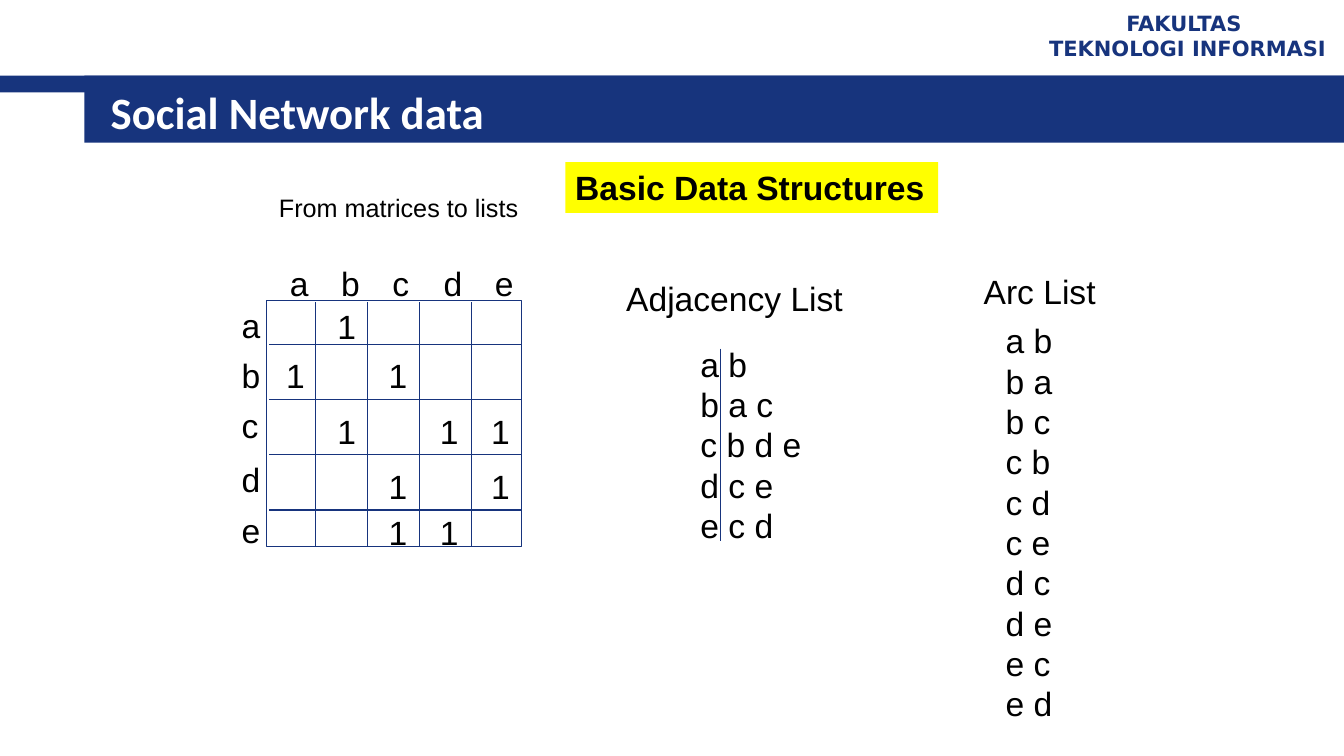
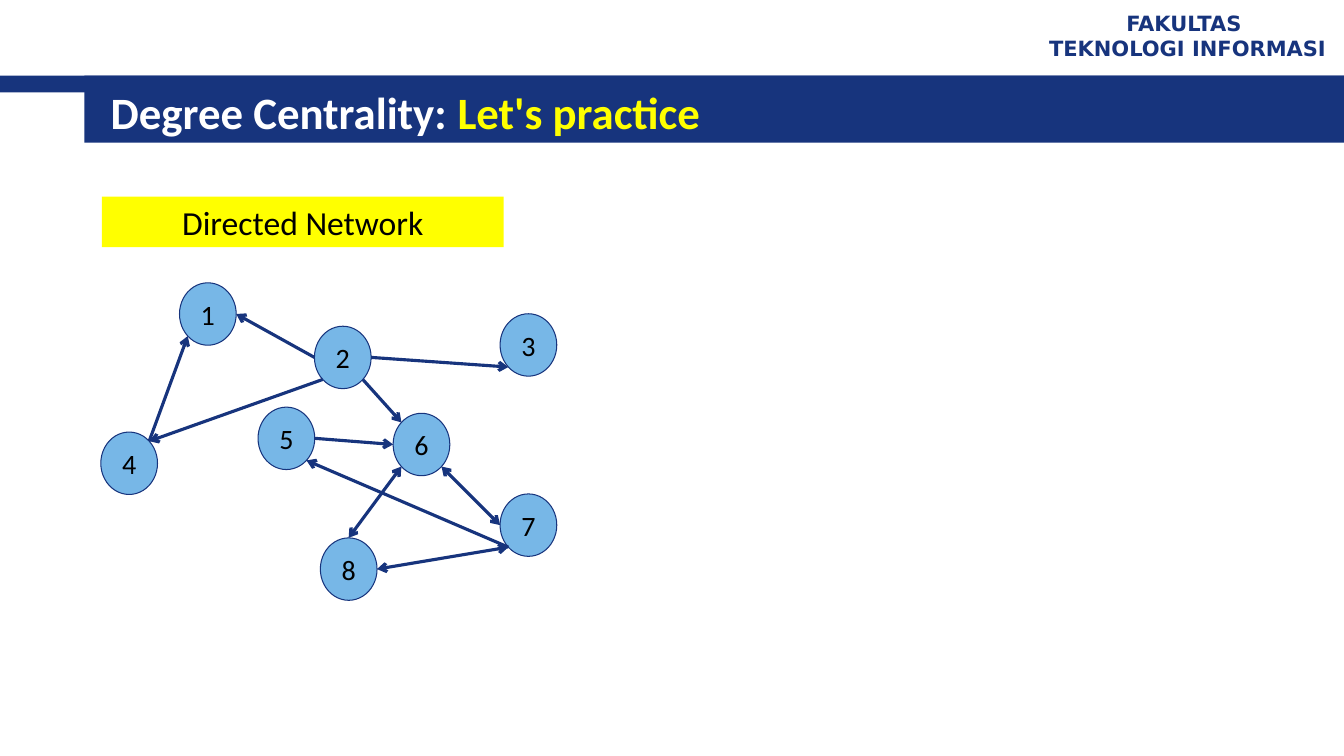
"""Build two slides on social network data: basic data structures and degree centrality."""
from dataclasses import dataclass
from enum import Enum
from math import cos, radians, sin
from typing import Any, NamedTuple

from lxml.etree import SubElement
from pptx import Presentation
from pptx.dml.color import RGBColor
from pptx.enum.shapes import MSO_CONNECTOR, MSO_SHAPE
from pptx.enum.text import MSO_ANCHOR, PP_ALIGN
from pptx.oxml.ns import qn
from pptx.util import Pt

NAVY, SKY, YELLOW, WHITE, BLACK = "17347D", "77B7E7", "FFFF00", "FFFFFF", "000000"
THIN, THICK = 0.75, 2.25

SMALL = {"name": "Arial", "size": Pt(18), "bold": False}
BODY = {**SMALL, "size": Pt(24)}
HEADING = {**BODY, "bold": True}
TITLE = {"name": "Calibri", "size": Pt(32), "bold": True}
CAPTION = {"name": "Calibri", "size": Pt(24), "bold": False}
NODE = {**CAPTION, "size": Pt(20)}
FACULTY = {"name": "DejaVu Sans", "size": Pt(15), "bold": True}

UNWRAPPED = {"vertical_anchor": MSO_ANCHOR.TOP, "word_wrap": False}
UNWRAPPED_MIDDLE = {"vertical_anchor": MSO_ANCHOR.MIDDLE, "word_wrap": False}
WRAPPED_MIDDLE = {"vertical_anchor": MSO_ANCHOR.MIDDLE, "word_wrap": True}
CENTER = PP_ALIGN.CENTER

NEIGHBOURS = {"a": "b", "b": "ac", "c": "bde", "d": "ce", "e": "cd"}
NODE_WIDTH, NODE_HEIGHT = 40.5, 44.6


class Box(NamedTuple):
    """Left, top, width and height in points."""
    left: float
    top: float
    width: float
    height: float

    def lengths(self) -> list[int]:
        """Return the four lengths for python-pptx."""
        return [Pt(value) for value in self]


class Point(NamedTuple):
    """A place on the slide in points."""
    x: float
    y: float


class Run(NamedTuple):
    """A stretch of text in one colour."""
    text: str
    color: str = BLACK


class MatrixRow(NamedTuple):
    """Tops of the label and of the marks in a matrix row."""
    label_top: float
    mark_top: float


class Side(Enum):
    """Angle in degrees, clockwise from the right, of a point on a node."""
    E = 0
    SE = 45
    SW = 135
    W = 180
    NW = 225
    N = 270
    NE = 315


@dataclass(frozen=True)
class Node:
    """A numbered node placed by its left top corner."""
    left: float
    top: float

    def point(self, side: Side) -> Point:
        """Return the point of the outline on the given side."""
        angle = radians(side.value)
        return Point(self.left + NODE_WIDTH / 2 * (1 + cos(angle)),
                     self.top + NODE_HEIGHT / 2 * (1 + sin(angle)))


@dataclass(frozen=True)
class Edge:
    """An arrow from one node to another, or both ways."""
    source: int
    source_side: Side
    target: int
    target_side: Side
    mutual: bool = False


MATRIX_ROWS = (
    MatrixRow(214.5, 215),
    MatrixRow(250, 250),
    MatrixRow(286, 290),
    MatrixRow(324.5, 329.5),
    MatrixRow(360.5, 361.8),
)
NODES = {
    1: Node(128.2, 202), 2: Node(224.6, 233), 3: Node(357.2, 224.1), 4: Node(72, 308.6),
    5: Node(184.3, 290.8), 6: Node(280.8, 295.2), 7: Node(357.2, 352.8), 8: Node(228.8, 384.2),
}
EDGES = (
    Edge(2, Side.SW, 4, Side.NE),
    Edge(2, Side.W, 1, Side.E),
    Edge(5, Side.E, 6, Side.W),
    Edge(2, Side.E, 3, Side.SW),
    Edge(6, Side.SE, 7, Side.W, mutual=True),
    Edge(6, Side.SW, 8, Side.N, mutual=True),
    Edge(2, Side.SE, 6, Side.NW),
    Edge(7, Side.SW, 8, Side.E, mutual=True),
    Edge(4, Side.NE, 1, Side.SW),
    Edge(7, Side.SW, 5, Side.SE),
)


def rgb(color: str) -> RGBColor:
    """Turn a hex string into a colour."""
    return RGBColor.from_string(color)


def apply(target: Any, values: dict[str, Any]) -> None:
    """Set every named attribute on the target."""
    for name, value in values.items():
        setattr(target, name, value)


def write(frame: Any, lines: list[list[Run]], font: dict[str, Any],
          layout: dict[str, Any], align: PP_ALIGN = PP_ALIGN.LEFT) -> None:
    """Lay out a text frame and fill it with one paragraph a line."""
    apply(frame, layout)
    for index, line in enumerate(lines):
        paragraph = frame.add_paragraph() if index else frame.paragraphs[0]
        paragraph.alignment = align
        for text, color in line:
            run = paragraph.add_run()
            run.text = text
            apply(run.font, font)
            run.font.color.rgb = rgb(color)


def add_text(slide: Any, box: Box, lines: list[list[Run]], font: dict[str, Any],
             layout: dict[str, Any] = UNWRAPPED, align: PP_ALIGN = PP_ALIGN.LEFT) -> None:
    """Add a text box."""
    write(slide.shapes.add_textbox(*box.lengths()).text_frame, lines, font, layout, align)


def add_shape(slide: Any, kind: MSO_SHAPE, box: Box, fill: str | None,
              line: str | None = None) -> Any:
    """Add a shape with the colours given and return its text frame."""
    shape = slide.shapes.add_shape(kind, *box.lengths())
    shape.shadow.inherit = False
    for paint, color in ((shape.fill, fill), (shape.line.fill, line)):
        if color:
            paint.solid()
            paint.fore_color.rgb = rgb(color)
        else:
            paint.background()
    if line:
        shape.line.width = Pt(THIN)
    return shape.text_frame


def add_line(slide: Any, start: Point, end: Point, width: float = THIN,
             arrows: tuple[str, ...] = ()) -> None:
    """Add a straight line with the given arrowhead elements."""
    lengths = [Pt(value) for value in (*start, *end)]
    connector = slide.shapes.add_connector(MSO_CONNECTOR.STRAIGHT, *lengths)
    connector.line.color.rgb = rgb(NAVY)
    connector.line.width = Pt(width)
    properties = connector.element.spPr
    for arrow in arrows:
        SubElement(properties.find(qn("a:ln")), qn(arrow), type="arrow")
    SubElement(properties, qn("a:effectLst"))


def add_base_slide(presentation: Any, title: list[Run]) -> Any:
    """Add a blank slide with the bands, faculty name and title."""
    slide = presentation.slides.add_slide(presentation.slide_layouts[6])
    for band in (Box(0, 54, 960, 12), Box(60.2, 54, 899.8, 48)):
        add_shape(slide, MSO_SHAPE.RECTANGLE, band, NAVY)
    faculty = [[Run("FAKULTAS ", NAVY)], [Run("TEKNOLOGI INFORMASI", NAVY)]]
    add_text(slide, Box(736.5, 3.5, 223.5, 44.5), faculty, FACULTY, WRAPPED_MIDDLE, CENTER)
    add_text(slide, Box(72, 57.5, 856, 44.5), [title], TITLE, WRAPPED_MIDDLE)
    return slide


def add_matrix(slide: Any) -> None:
    """Draw the adjacency matrix with its grid, labels and marks."""
    add_shape(slide, MSO_SHAPE.RECTANGLE, Box(190.2, 214.5, 182, 175.8), None, NAVY)
    for index in range(len(NEIGHBOURS) - 1):
        x, y = 225.2 + 37.2 * index, 246.1 + 39.4 * index
        add_line(slide, Point(x, 216), Point(x, 391))
        add_line(slide, Point(372, y), Point(192, y))

    def add_letter(text: str, left: float, top: float) -> None:
        """Add one label or mark."""
        add_text(slide, Box(left, top, 28, 36), [[Run(text)]], BODY)

    lefts = {name: 200 + 36.6 * index for index, name in enumerate(NEIGHBOURS)}
    for name, left in lefts.items():
        add_letter(name, left, 184.3)
    for row, (name, others) in zip(MATRIX_ROWS, NEIGHBOURS.items()):
        add_letter(name, 165.5, row.label_top)
        for other in others:
            add_letter("1", lefts[other] - 2.7, row.mark_top)


def build_data_slide(presentation: Any) -> None:
    """Show one network as a matrix, an adjacency list and an arc list."""
    slide = add_base_slide(presentation, [Run("Social Network data", WHITE)])
    add_text(slide, Box(192.2, 134, 187, 29), [[Run("From matrices to lists")]], SMALL)
    add_matrix(slide)
    adjacency = [[Run(" ".join(name + others))] for name, others in NEIGHBOURS.items()]
    arcs = [[Run(f"{name} {other}")] for name, others in NEIGHBOURS.items() for other in others]
    add_text(slide, Box(493.2, 242, 87, 152.5), adjacency, BODY)
    add_line(slide, Point(514.6, 249), Point(514.6, 386.5))
    add_text(slide, Box(711.2, 225.2, 48.5, 298), arcs, BODY)
    add_text(slide, Box(440.2, 195, 170.5, 36), [[Run("Adjacency List")]], BODY)
    add_text(slide, Box(695.5, 190, 95, 36), [[Run("Arc List")]], BODY)
    heading = add_shape(slide, MSO_SHAPE.RECTANGLE, Box(403.8, 115.8, 266.4, 36.4), YELLOW)
    write(heading, [[Run("Basic Data Structures")]], HEADING, UNWRAPPED)


def build_practice_slide(presentation: Any) -> None:
    """Show the directed network to practise on."""
    title = [Run("Degree Centrality: ", WHITE), Run("Let's practice", YELLOW)]
    slide = add_base_slide(presentation, title)
    for number, node in NODES.items():
        box = Box(node.left, node.top, NODE_WIDTH, NODE_HEIGHT)
        frame = add_shape(slide, MSO_SHAPE.OVAL, box, SKY, NAVY)
        write(frame, [[Run(str(number))]], NODE, UNWRAPPED_MIDDLE, CENTER)
    for edge in EDGES:
        arrows = ("a:headEnd", "a:tailEnd") if edge.mutual else ("a:tailEnd",)
        add_line(slide, NODES[edge.source].point(edge.source_side),
                 NODES[edge.target].point(edge.target_side), THICK, arrows)
    caption = add_shape(slide, MSO_SHAPE.RECTANGLE, Box(72.8, 140.5, 287, 36), YELLOW)
    write(caption, [[Run("Directed Network")]], CAPTION, WRAPPED_MIDDLE, CENTER)


def main() -> None:
    """Build and save the presentation."""
    presentation = Presentation()
    apply(presentation, {"slide_width": Pt(960), "slide_height": Pt(540)})
    build_data_slide(presentation)
    build_practice_slide(presentation)
    presentation.save("out.pptx")


if __name__ == "__main__":
    main()
